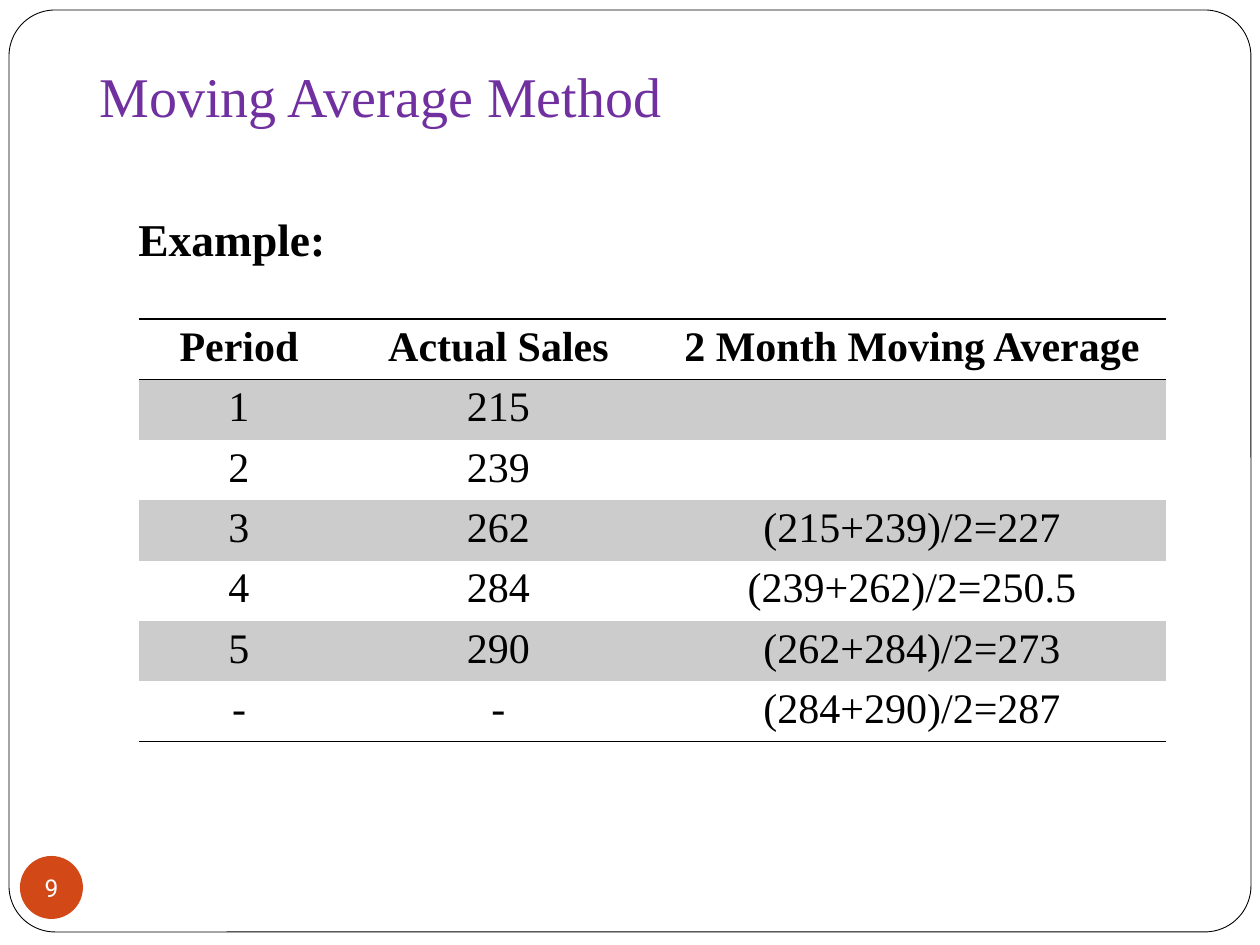
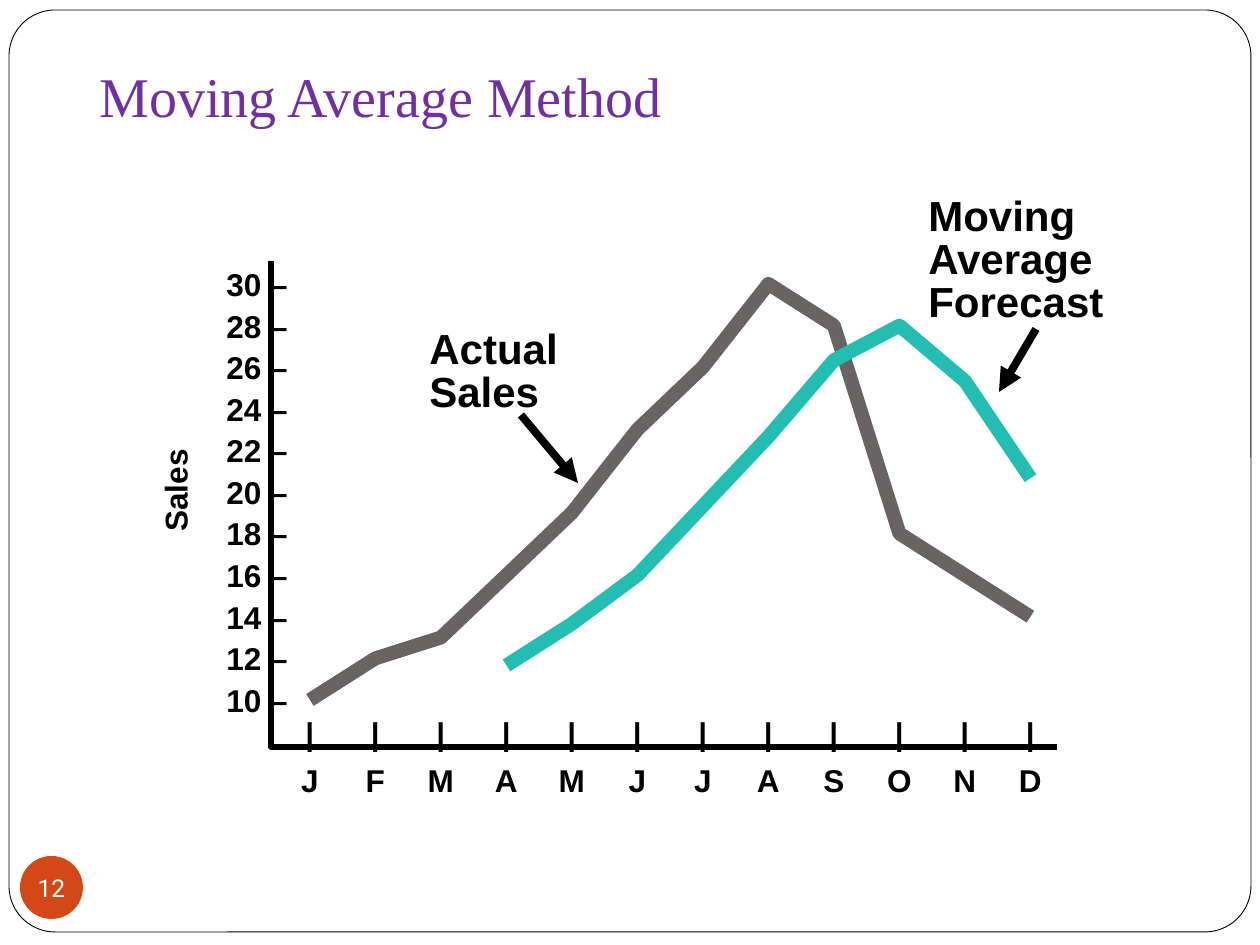
from lxml import etree
from pptx import Presentation
from pptx.dml.color import RGBColor
from pptx.enum.shapes import MSO_CONNECTOR, MSO_SHAPE
from pptx.enum.text import MSO_ANCHOR, PP_ALIGN
from pptx.oxml.ns import qn
from pptx.util import Emu, Pt

BLACK = RGBColor(0x00, 0x00, 0x00)
WHITE = RGBColor(0xFF, 0xFF, 0xFF)
PURPLE = RGBColor(0x70, 0x30, 0xA0)
ORANGE = RGBColor(0xD3, 0x48, 0x17)
BAND_GREY = RGBColor(0xCC, 0xCC, 0xCC)
ACTUAL_GREY = RGBColor(0x69, 0x64, 0x64)
FORECAST_TEAL = RGBColor(0x24, 0xBD, 0xB2)

SERIF, SANS, NUMBER_FONT = "Times New Roman", "Arial", "Roboto"
NO_TABLE_STYLE = "{2D5ABB26-0587-4C30-8999-92F81FD0307C}"
EMU_PER_PX = 914400 / 126

SALES_TABLE = [
    ("Period", "Actual Sales", "2 Month Moving Average"),
    ("1", "215", ""),
    ("2", "239", ""),
    ("3", "262", "(215+239)/2=227"),
    ("4", "284", "(239+262)/2=250.5"),
    ("5", "290", "(262+284)/2=273"),
    ("-", "-", "(284+290)/2=287"),
]
COLUMN_WIDTHS = [200, 319, 508]
ROW_HEIGHT = 59

MONTHS = "JFMAMJJASOND"
ACTUAL_SALES = [10, 12, 13, 16, 19, 23, 26, 30, 28, 18, 16, 14]
AVERAGED_MONTHS = 3
SCALE_MIN, SCALE_MAX, SCALE_STEP = 10, 30, 2
FIRST_MONTH_X, MONTH_GAP = 310, 65.5
SCALE_MIN_Y, UNIT_HEIGHT = 700, 20.8


def px(length):
    return Emu(round(length * EMU_PER_PX))


def box(*lengths):
    return [px(length) for length in lengths]


# Text
def add_run(paragraph, text, size, font, color=BLACK, bold=False):
    run = paragraph.add_run()
    run.text = text
    run.font.size = Pt(size)
    run.font.name = font
    run.font.bold = bold
    run.font.color.rgb = color


def add_text(slide, place, lines, size, font, color=BLACK, bold=False,
             align=PP_ALIGN.LEFT, spacing=None, wrap=True):
    text_box = slide.shapes.add_textbox(*box(*place))
    frame = text_box.text_frame
    frame.word_wrap = wrap
    for index, line in enumerate(lines):
        paragraph = frame.paragraphs[0] if index == 0 else frame.add_paragraph()
        paragraph.alignment = align
        if spacing:
            paragraph.line_spacing = spacing
        add_run(paragraph, line, size, font, color, bold)
    return text_box


def set_center_tabs(paragraph, positions):
    tabs = etree.SubElement(paragraph._p.get_or_add_pPr(), qn("a:tabLst"))
    for position in positions:
        etree.SubElement(tabs, qn("a:tab"), pos=str(px(position)), algn="ctr")


# Shapes and lines
def add_filled_shape(slide, kind, place, fill):
    shape = slide.shapes.add_shape(kind, *box(*place))
    shape.shadow.inherit = False
    shape.fill.solid()
    shape.fill.fore_color.rgb = fill
    shape.line.fill.background()
    return shape


def set_line(shape, color, width):
    shape.line.color.rgb = color
    shape.line.width = Pt(width)


def add_polyline(slide, points, color, width):
    start, *rest = [box(*point) for point in points]
    builder = slide.shapes.build_freeform(*start)
    builder.add_line_segments(rest, close=False)
    polyline = builder.convert_to_shape()
    polyline.shadow.inherit = False
    polyline.fill.background()
    set_line(polyline, color, width)
    etree.SubElement(polyline.line._get_or_add_ln(), qn("a:round"))


def add_arrow(slide, start, end):
    arrow = slide.shapes.add_connector(MSO_CONNECTOR.STRAIGHT, *box(*start, *end))
    set_line(arrow, BLACK, 4.5)
    etree.SubElement(arrow.line._get_or_add_ln(), qn("a:tailEnd"), type="triangle")
    etree.SubElement(arrow._element.spPr, qn("a:effectLst"))


# Table
def add_cell_border(cell, side):
    line = etree.SubElement(cell._tc.get_or_add_tcPr(), qn(f"a:ln{side}"),
                            w=str(Pt(1)))
    fill = etree.SubElement(line, qn("a:solidFill"))
    etree.SubElement(fill, qn("a:srgbClr"), val=str(BLACK))


def fill_cell(cell, text, row_number):
    is_header = row_number == 0
    cell.margin_top = cell.margin_bottom = px(5)
    if is_header:
        add_cell_border(cell, "T")
    if is_header or row_number == len(SALES_TABLE) - 1:
        add_cell_border(cell, "B")
    if row_number % 2:
        cell.fill.solid()
        cell.fill.fore_color.rgb = BAND_GREY
    else:
        cell.fill.background()
    if text:
        paragraph = cell.text_frame.paragraphs[0]
        paragraph.alignment = PP_ALIGN.CENTER
        add_run(paragraph, text, 24, SERIF, bold=is_header)


def add_sales_table(slide):
    place = (139, 319, sum(COLUMN_WIDTHS), ROW_HEIGHT * len(SALES_TABLE))
    table = slide.shapes.add_table(len(SALES_TABLE), len(COLUMN_WIDTHS),
                                   *box(*place)).table
    table.horz_banding = False
    table._tbl.tblPr.find(qn("a:tableStyleId")).text = NO_TABLE_STYLE
    for column, width in zip(table.columns, COLUMN_WIDTHS):
        column.width = px(width)
    for row_number, texts in enumerate(SALES_TABLE):
        table.rows[row_number].height = px(ROW_HEIGHT)
        for column_number, text in enumerate(texts):
            fill_cell(table.cell(row_number, column_number), text, row_number)


# Sales diagram
def moving_averages(values, count):
    return [sum(values[i:i + count]) / count for i in range(len(values) - count)]


def month_x(month):
    return FIRST_MONTH_X + month * MONTH_GAP


def add_sales_line(slide, values, first_month, color):
    points = [(month_x(month), SCALE_MIN_Y - (value - SCALE_MIN) * UNIT_HEIGHT)
              for month, value in enumerate(values, first_month)]
    add_polyline(slide, points, color, 8)


def add_axes(slide):
    # Month ticks and letters stand on shared centred tabs
    month_rows = ["".join("\t" + mark for mark in marks)
                  for marks in ("|" * len(MONTHS), MONTHS)]
    left, inset = 244, 12.6
    months = add_text(slide, (left, 698, 812, 107), month_rows, 18, SANS,
                      bold=True, spacing=1.25)
    stops = [month_x(month) - left - inset for month in range(len(MONTHS))]
    for paragraph in months.text_frame.paragraphs:
        set_center_tabs(paragraph, stops)

    add_polyline(slide, [(271, 261), (271, 747), (1057, 747)], BLACK, 3)
    axis_title = add_text(slide, (121, 465, 108, 50), ["Sales"], 18, SANS,
                          bold=True, wrap=False)
    axis_title.rotation = 270
    scale = [f"{value} –" for value in range(SCALE_MAX, SCALE_MIN - 1, -SCALE_STEP)]
    add_text(slide, (213, 255, 87, 470), scale, 18, SANS, bold=True,
             align=PP_ALIGN.RIGHT, spacing=1.1, wrap=False)


def add_callout(slide, place, text, arrow_start, arrow_end):
    add_text(slide, place, [text], 24, SANS, bold=True, spacing=0.85)
    add_arrow(slide, arrow_start, arrow_end)


# Slides
def add_base_slide(deck, number):
    slide = deck.slides.add_slide(deck.slide_layouts[6])
    border = add_filled_shape(slide, MSO_SHAPE.ROUNDED_RECTANGLE,
                              (9, 10, 1242, 922), WHITE)
    border.adjustments[0] = 0.05
    set_line(border, BLACK, 0.5)

    title = add_text(slide, (87, -16, 1071, 158), ["Moving Average Method"],
                     32, SERIF, PURPLE)
    title.text_frame.vertical_anchor = MSO_ANCHOR.BOTTOM
    title.text_frame.margin_bottom = px(13)

    badge = add_filled_shape(slide, MSO_SHAPE.OVAL, (20, 856, 63, 63), ORANGE)
    frame = badge.text_frame
    frame.margin_left = frame.margin_right = 0
    frame.margin_top = frame.margin_bottom = 0
    frame.word_wrap = False
    frame.vertical_anchor = MSO_ANCHOR.MIDDLE
    frame.paragraphs[0].alignment = PP_ALIGN.CENTER
    add_run(frame.paragraphs[0], str(number), 14, NUMBER_FONT, WHITE)
    return slide


def add_example_slide(deck):
    slide = add_base_slide(deck, 9)
    add_text(slide, (126, 205, 1071, 624), ["Example:"], 26, SERIF, bold=True)
    add_sales_table(slide)


def add_diagram_slide(deck):
    slide = add_base_slide(deck, 12)
    add_axes(slide)
    add_sales_line(slide, ACTUAL_SALES, 0, ACTUAL_GREY)
    forecast = moving_averages(ACTUAL_SALES, AVERAGED_MONTHS)
    add_sales_line(slide, forecast, AVERAGED_MONTHS, FORECAST_TEAL)
    add_callout(slide, (417, 324, 200, 98), "Actual Sales",
                (521, 415), (578, 483))
    add_callout(slide, (916, 191, 242, 141), "Moving Average Forecast",
                (1036, 329), (999, 392))


def main():
    deck = Presentation()
    deck.slide_width, deck.slide_height = box(1260, 945)
    add_example_slide(deck)
    add_diagram_slide(deck)
    deck.save("out.pptx")


if __name__ == "__main__":
    main()
